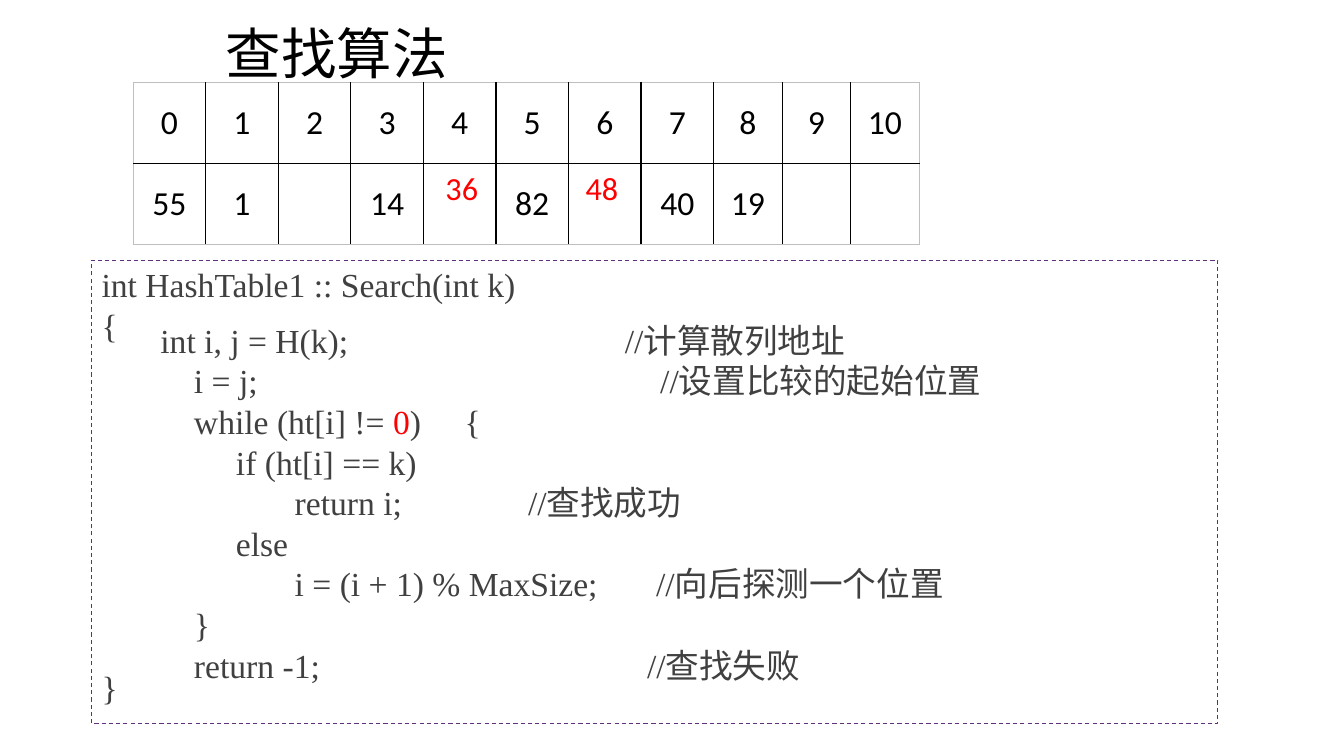
from lxml import etree
from pptx import Presentation
from pptx import util as u
from pptx.dml.color import RGBColor
from pptx.enum import dml, shapes, text
from pptx.oxml import ns

SERIF = "Times New Roman"
GREY = "404040"
RED = "FF0000"
LINE_HEIGHT = 29
INDEXES = [str(index) for index in range(11)]
KEYS = ["55", "1", "", "14", "", "82", "", "40", "19", "", ""]
COLUMN_WIDTHS = [0.72] * 8 + [0.68] * 3
CODE = [
    ([" int i, j = H(k);\t//计算散列地址"], 4.69),
    (["     i = j;\t//设置比较的起始位置"], 5.04),
    (["     while (ht[i] != ", ("0", RED), ")\t{"], 3.1),
    (["          if (ht[i] == k)"], None),
    (["                 return i;\t//查找成功"], 3.73),
    (["          else"], None),
    (["                 i = (i + 1) % MaxSize;\t//向后探测一个位置"], 5),
    (["     }"], None),
    (["     return -1;\t//查找失败"], 4.91),
]


def colour(value):
    return RGBColor.from_string(value)


def write(para, words, size=24, font="Calibri", color="000000", align=None):
    span = para.add_run()
    span.text = words
    span.font.size = u.Pt(size)
    span.font.name = font
    span.font.color.rgb = colour(color)
    if align is not None:
        para.alignment = align


def next_para(frame, index):
    return frame.add_paragraph() if index else frame.paragraphs[0]


def add_tab(para, position):
    properties = para._p.get_or_add_pPr()
    tabs = etree.SubElement(properties, ns.qn("a:tabLst"))
    etree.SubElement(tabs, ns.qn("a:tab"), pos=str(u.Inches(position)), algn="l")


def add_title(page):
    title = page.shapes.title
    title.left, title.top = u.Inches(2.14), u.Inches(0.21)
    title.width, title.height = u.Inches(11.19), u.Inches(0.71)
    frame = title.text_frame
    frame.vertical_anchor = text.MSO_ANCHOR.MIDDLE
    para = frame.paragraphs[0]
    para.line_spacing = 0.9
    write(para, "查找算法", size=39.6, align=text.PP_ALIGN.LEFT)


def add_function_box(page):
    box = page.shapes.add_shape(
        shapes.MSO_SHAPE.RECTANGLE,
        u.Inches(0.91), u.Inches(2.58), u.Inches(11.17), u.Inches(4.6))
    box.shadow.inherit = False
    box.fill.background()
    box.line.color.rgb = colour("5C307D")
    box.line.width = u.Pt(0.75)
    box.line.dash_style = dml.MSO_LINE.DASH
    frame = box.text_frame
    frame.word_wrap = True
    frame.vertical_anchor = text.MSO_ANCHOR.TOP
    frame.margin_top = frame.margin_bottom = u.Inches(0.04)
    for index, words in enumerate(["int HashTable1 :: Search(int k)", "{", "}"]):
        para = next_para(frame, index)
        para.line_spacing = u.Pt(LINE_HEIGHT)
        if words == "}":
            para.space_before = u.Pt(229.6)
        write(para, words, font=SERIF, color=GREY, align=text.PP_ALIGN.LEFT)


def set_border(cell, side, color, width):
    properties = cell._tc.get_or_add_tcPr()
    line = etree.SubElement(properties, ns.qn("a:" + side), w=str(u.Pt(width)))
    fill = etree.SubElement(line, ns.qn("a:solidFill"))
    etree.SubElement(fill, ns.qn("a:srgbClr"), val=color)


def add_hash_table(page):
    rows = [INDEXES, KEYS]
    table = page.shapes.add_table(
        len(rows), len(INDEXES),
        u.Inches(1.32), u.Inches(0.82), u.Inches(7.8), u.Inches(1.6)).table
    table.first_row = table.horz_banding = False
    for column, width in zip(table.columns, COLUMN_WIDTHS):
        column.width = u.Inches(width)
    for row_index, row in enumerate(rows):
        table.rows[row_index].height = u.Inches(0.8)
        for column_index, words in enumerate(row):
            cell = table.cell(row_index, column_index)
            cell.margin_left = cell.margin_right = u.Inches(0.08)
            cell.margin_top = cell.margin_bottom = 0
            cell.vertical_anchor = text.MSO_ANCHOR.MIDDLE
            outer = {"lnL": column_index == 0,
                     "lnR": column_index == len(row) - 1,
                     "lnT": row_index == 0,
                     "lnB": row_index == len(rows) - 1}
            for side, is_outer in outer.items():
                set_border(cell, side, *(("BFBFBF", 0.5) if is_outer else ("000000", 1)))
            cell.fill.background()
            if words:
                write(cell.text_frame.paragraphs[0], words, align=text.PP_ALIGN.CENTER)


def add_inserted_key(page, words, left):
    box = page.shapes.add_textbox(
        u.Inches(left), u.Inches(1.62), u.Inches(0.61), u.Inches(0.49))
    box.text_frame.word_wrap = False
    write(box.text_frame.paragraphs[0], words, size=23, color=RED)


def add_code(page):
    box = page.shapes.add_textbox(
        u.Inches(1.41), u.Inches(3.12), u.Inches(9.34), u.Inches(3.74))
    frame = box.text_frame
    frame.word_wrap = True
    for index, (pieces, tab) in enumerate(CODE):
        para = next_para(frame, index)
        para.line_spacing = u.Pt(LINE_HEIGHT)
        if tab:
            add_tab(para, tab)
        for piece in pieces:
            words, color = (piece, GREY) if isinstance(piece, str) else piece
            write(para, words, font=SERIF, color=color)


def main():
    deck = Presentation()
    deck.slide_width, deck.slide_height = u.Inches(13.33), u.Inches(7.5)
    page = deck.slides.add_slide(deck.slide_layouts[5])
    add_function_box(page)
    add_title(page)
    add_hash_table(page)
    add_inserted_key(page, "36", 4.32)
    add_inserted_key(page, "48", 5.71)
    add_code(page)
    deck.save("out.pptx")


if __name__ == "__main__":
    main()
